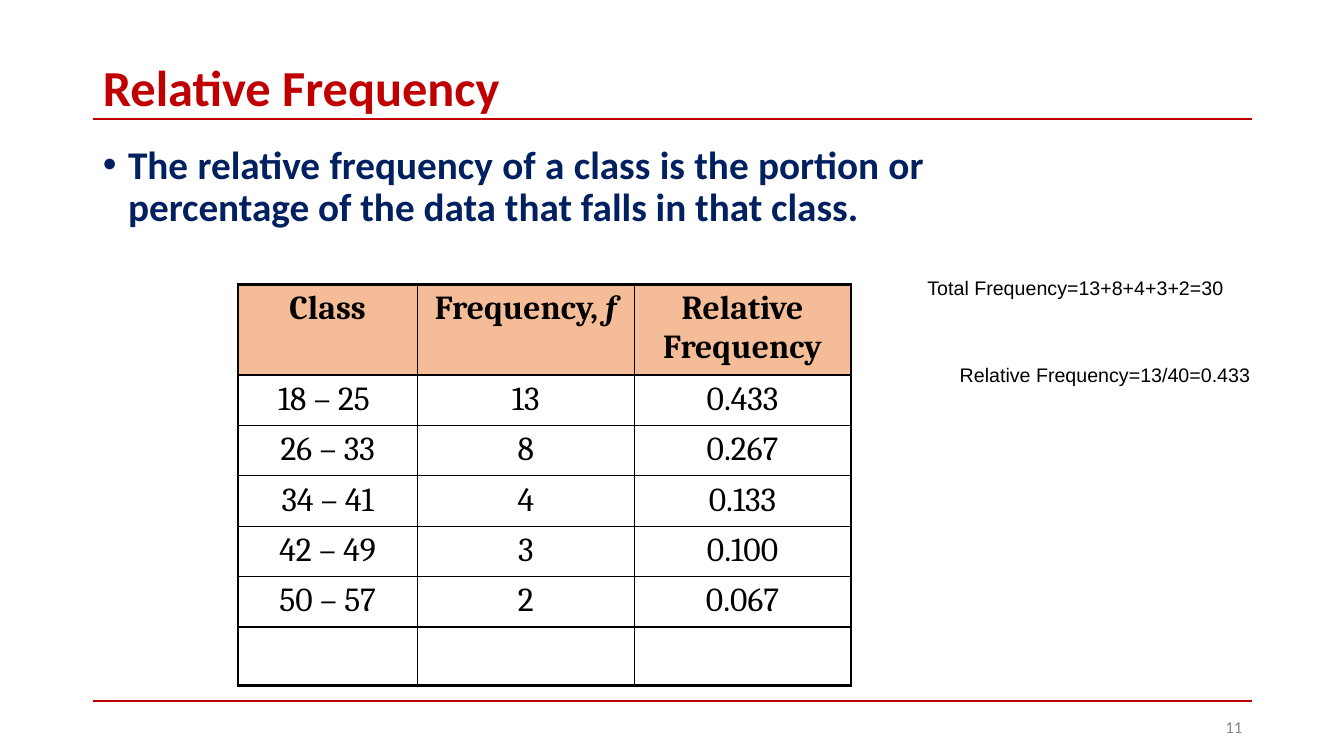
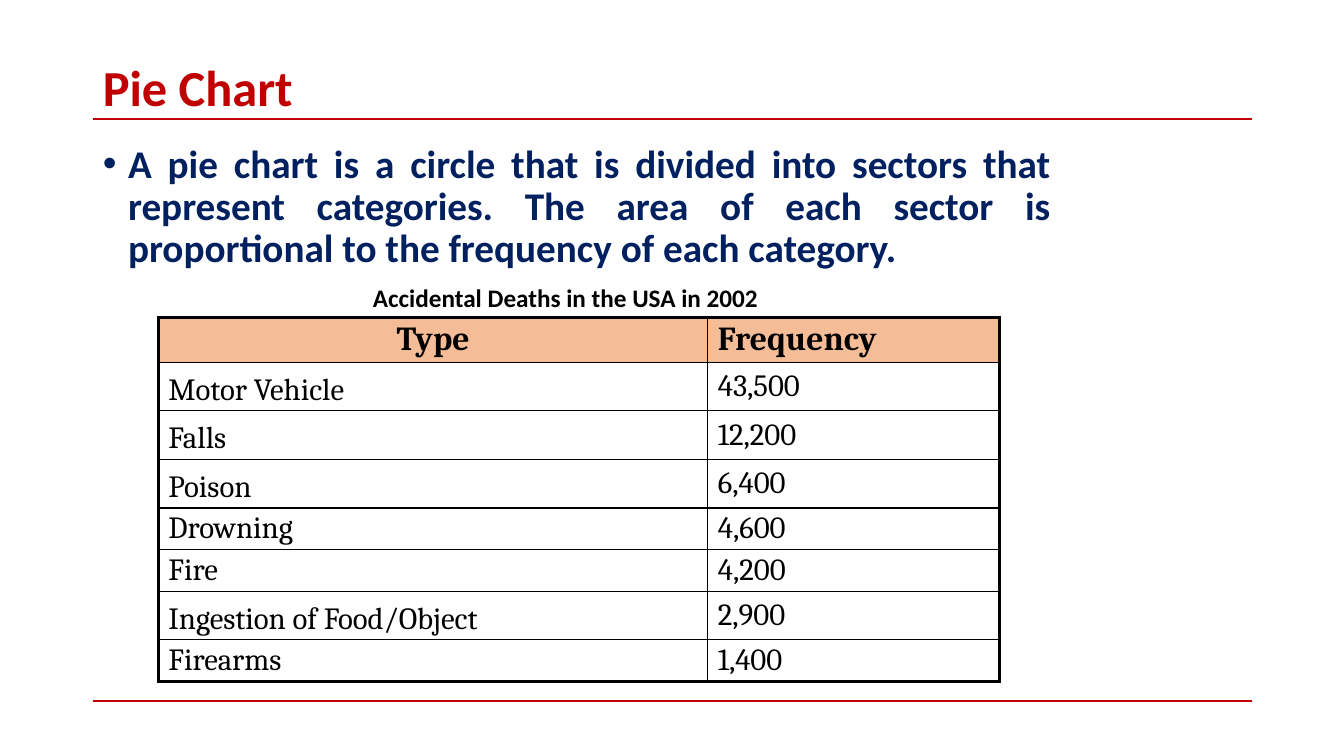
from dataclasses import dataclass

from lxml.etree import SubElement
from pptx import Presentation
from pptx.dml.color import RGBColor
from pptx.enum.shapes import MSO_CONNECTOR as Connector
from pptx.enum.text import MSO_ANCHOR as Anchor, MSO_AUTO_SIZE as AutoSize, PP_ALIGN as Align
from pptx.oxml import parse_xml
from pptx.oxml.ns import nsdecls, qn
from pptx.util import Inches, Pt


@dataclass(frozen=True)
class Theme:
    red: str = "C00000"
    navy: str = "002060"
    black: str = "000000"
    gray: str = "888888"
    orange: str = "ED7D31"
    sans: str = "Calibri"
    serif: str = "Cambria"
    note_font: str = "Arial"
    title_size: int = 36
    body_size: int = 28
    table_size: int = 24
    row_size: int = 22
    caption_size: int = 18
    note_size: int = 14
    number_size: int = 12
    rule_width: float = 1.5
    frame_width: float = 2.25
    grid_width: float = 1


theme = Theme()


def style(para, size, font, color, bold=False):
    """Format every run of a paragraph alike."""
    for span in para.runs:
        span.font.size, span.font.name, span.font.bold = Pt(size), font, bold
        span.font.color.rgb = RGBColor.from_string(color)


def add_grid(page, left, top, columns, heights, rows, row_size, inset):
    """Add a table with a tinted header, thick frame and thin inner lines."""
    frame = page.shapes.add_table(len(rows), len(columns), Inches(left), Inches(top),
                                  Inches(sum(columns)), Inches(sum(heights)))
    table = frame.table
    table.first_row = table.horz_banding = False
    for column, width in zip(table.columns, columns):
        column.width = Inches(width)
    for r, (row, height) in enumerate(zip(rows, heights)):
        table.rows[r].height = Inches(height)
        for c, text in enumerate(row):
            cell = table.cell(r, c)
            cell.margin_top = cell.margin_bottom = Inches(inset)
            para = cell.text_frame.paragraphs[0]
            para.text = text
            style(para, row_size if r else theme.table_size, theme.serif, theme.black, r == 0)
            if r == 0:
                cell.fill.solid()
                cell.fill.fore_color.rgb = RGBColor.from_string(theme.orange)
            else:
                cell.fill.background()
            properties = cell._tc.get_or_add_tcPr()
            for tint in properties.iter(qn("a:srgbClr")):
                SubElement(tint, qn("a:alpha"), val="50000")
            # Borders precede the fill: left, right, top, bottom
            outer = (c == 0, c == len(row) - 1, r == 0, r == len(rows) - 1)
            for i, (side, on_frame) in enumerate(zip("LRTB", outer)):
                width = Pt(theme.frame_width if on_frame else theme.grid_width)
                properties.insert(i, parse_xml(
                    f'<a:ln{side} {nsdecls("a")} w="{width}"><a:solidFill>'
                    f'<a:srgbClr val="{theme.black}"/></a:solidFill></a:ln{side}>'))
    return table


deck = Presentation()
deck.slide_width, deck.slide_height = Inches(13.33), Inches(7.5)
deck.element.set("firstSlideNum", "11")
layout = deck.slide_layouts[1]

# Titles and bulleted definitions: title, text, left, top, width, height
contents = [
    ("Relative Frequency",
     "The relative frequency of a class is the portion or percentage of the data "
     "that falls in that class.", 0.92, 1.39, 8.34, 5.37),
    ("Pie Chart",
     "A pie chart is a circle that is divided into sectors that represent categories. "
     "The area of each sector is proportional to the frequency of each category.",
     0.92, 1.38, 9.6, 1.37),
]
for title_text, body_text, *place in contents:
    page = deck.slides.add_slide(layout)
    title, body = page.shapes.title, page.placeholders[1]
    title.left, title.top, title.width, title.height = map(Inches, (0.92, 0.61, 11.5, 0.58))
    body.left, body.top, body.width, body.height = map(Inches, place)
    for box, text, size, color, align in (
            (title, title_text, theme.title_size, theme.red, Align.LEFT),
            (body, body_text, theme.body_size, theme.navy, Align.JUSTIFY)):
        box.text_frame.text = text
        box.text_frame.auto_size = AutoSize.NONE
        para = box.text_frame.paragraphs[0]
        para.alignment, para.line_spacing, para.space_before = align, 0.9, Pt(0)
        style(para, size, theme.sans, color, True)
    bullet = body.text_frame.paragraphs[0]._p.get_or_add_pPr()
    bullet.set("marL", str(Inches(0.25)))
    bullet.set("indent", str(-Inches(0.25)))
    SubElement(SubElement(bullet, qn("a:buClr")), qn("a:srgbClr"), val=theme.navy)
    SubElement(bullet, qn("a:buFont"), typeface="Arial")
    SubElement(bullet, qn("a:buChar"), char="•")

frequency_page, pie_page = deck.slides

# Red rules, moved to the layout so that both slides share them
for y in (1.18, 6.95):
    rule = frequency_page.shapes.add_connector(
        Connector.STRAIGHT, Inches(0.92), Inches(y), Inches(12.42), Inches(y))
    rule.line.color.rgb = RGBColor.from_string(theme.red)
    rule.line.width = Pt(theme.rule_width)
    SubElement(rule._element.spPr, qn("a:effectLst"))
    layout.shapes.element.append(rule._element)

# Relative frequency table
classes = [
    ("Class", "Frequency, ", "Relative Frequency"),
    ("18 – 25 ", "13", "0.433"),
    ("26 – 33", "8", "0.267"),
    ("34 – 41", "4", "0.133"),
    ("42 – 49", "3", "0.100"),
    ("50 – 57", "2", "0.067"),
    ("", "", ""),
]
class_table = add_grid(frequency_page, 2.36, 2.82, (1.78, 2.15, 2.15),
                       (0.9, *[0.5] * 5, 0.58), classes, theme.table_size, 0.05)
for cell in class_table.iter_cells():
    cell.text_frame.paragraphs[0].alignment = Align.CENTER
heading = class_table.cell(0, 1).text_frame.paragraphs[0]
symbol = heading.add_run()
symbol.text = "f"
style(heading, theme.table_size, theme.serif, theme.black, True)
symbol.font.italic = True

# Accidental deaths table
deaths = [
    ("Type", "Frequency"),
    ("Motor Vehicle", "43,500"),
    ("Falls", "12,200"),
    ("Poison", "6,400"),
    ("Drowning", "4,600"),
    ("Fire", "4,200"),
    ("Ingestion of Food/Object", "2,900"),
    ("Firearms", "1,400"),
]
death_table = add_grid(pie_page, 1.57, 3.15, (5.45, 2.89), (0.33, *[0.31] * 7),
                       deaths, theme.row_size, 0.03)
death_table.cell(0, 0).text_frame.paragraphs[0].alignment = Align.CENTER
for r in range(1, len(deaths)):
    for c in range(2):
        death_table.cell(r, c).vertical_anchor = Anchor.MIDDLE
for r in (1, 2, 3, 6):
    death_table.cell(r, 0).text_frame.paragraphs[0].line_spacing = 1.2

# Calculations and table caption
labels = [
    (frequency_page, "Total Frequency=13+8+4+3+2=30", 9.1, 2.69, 3.17, 0.34,
     theme.note_size, theme.note_font, False),
    (frequency_page, "Relative Frequency=13/40=0.433", 9.42, 3.55, 3.09, 0.34,
     theme.note_size, theme.note_font, False),
    (pie_page, "Accidental Deaths in the USA in 2002", 3.6, 2.75, 4.06, 0.4,
     theme.caption_size, theme.sans, True),
]
for page, text, left, top, width, height, size, font, is_caption in labels:
    box = page.shapes.add_textbox(Inches(left), Inches(top), Inches(width), Inches(height))
    box.text_frame.text = text
    box.text_frame.word_wrap = is_caption
    box.text_frame.auto_size = AutoSize.NONE if is_caption else AutoSize.SHAPE_TO_FIT_TEXT
    style(box.text_frame.paragraphs[0], size, font, theme.black, is_caption)

# Page number field
box = frequency_page.shapes.add_textbox(Inches(9.42), Inches(7.01), Inches(3), Inches(0.4))
box.text_frame.word_wrap = True
box.text_frame.vertical_anchor = Anchor.MIDDLE
para = box.text_frame.paragraphs[0]
para.alignment = Align.RIGHT
para._p.append(parse_xml(
    f'<a:fld {nsdecls("a")} id="{{B6F15528-21DE-4FAA-801E-634DDDAF4B2B}}" type="slidenum">'
    f'<a:rPr lang="en-US" sz="{theme.number_size * 100}"><a:solidFill>'
    f'<a:srgbClr val="{theme.gray}"/></a:solidFill><a:latin typeface="{theme.sans}"/>'
    '</a:rPr><a:t>11</a:t></a:fld>'))

deck.save("out.pptx")
